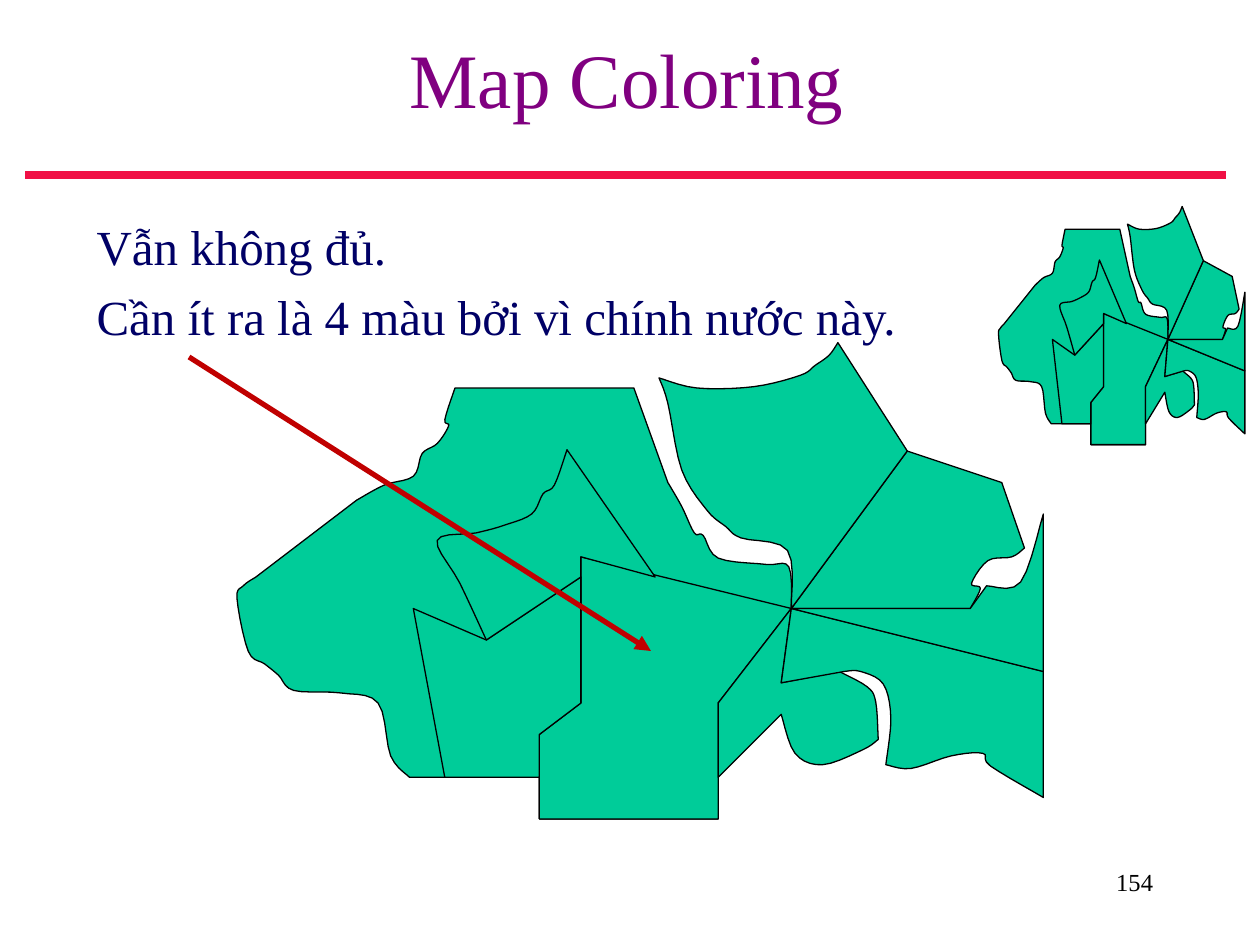
from dataclasses import dataclass

from lxml import etree
from pptx import Presentation
from pptx.dml.color import RGBColor
from pptx.enum.shapes import MSO_CONNECTOR
from pptx.enum.text import MSO_ANCHOR, PP_ALIGN
from pptx.oxml.ns import qn
from pptx.util import Pt


@dataclass(frozen=True)
class Theme:
    font: str = "Times New Roman"
    title: RGBColor = RGBColor(0x80, 0x00, 0x80)
    body: RGBColor = RGBColor(0x00, 0x00, 0x66)
    ink: RGBColor = RGBColor(0x00, 0x00, 0x00)
    land: RGBColor = RGBColor(0x00, 0xCC, 0x99)
    rule: RGBColor = RGBColor(0xF0, 0x10, 0x45)
    arrow: RGBColor = RGBColor(0xC0, 0x00, 0x00)
    title_size: float = 44
    body_size: float = 28
    number_size: float = 14


# Border corners that several countries share, in map units
HUB, PASS, BAY, EAST, CAPE = (628, 483), (720, 358), (770, 483), (828, 533), (620, 542)
FORK, NECK, NOTCH, BEND = (386, 508), (461, 442), (461, 458), (461, 558)
STEP, PORT, QUAY = (428, 583), (428, 617), (428, 650)
RIVER, COVE, SOUTH = (570, 558), (570, 617), (570, 650)

# A tuple is a corner, a list is a coast drawn smoothly through its points
COUNTRIES = {
    "west": [
        (503, 308), (361, 308),
        [(353, 333), (356, 338), (347, 352), (335, 360), (328, 378),
         (305, 385), (283, 397)], (203, 458),
        [(193, 465), (188, 475), (197, 517), (210, 527), (221, 536),
         (233, 548), (270, 550), (300, 558), (310, 600), (325, 617)],
        PORT, QUAY, SOUTH, RIVER, HUB,
        [(626, 450), (608, 448), (570, 443), (558, 425), (551, 423),
         (541, 402), (530, 383)]],
    "centre": [QUAY, STEP, BEND, NECK, HUB, RIVER, SOUTH],
    "inland south": [(353, 617), (328, 483), FORK, NOTCH, BEND, STEP, PORT],
    "inland north": [
        FORK, [(365, 463), (347, 429), (378, 423), (400, 417), (422, 408),
               (431, 392), (440, 385), (450, 357)],
        (520, 458), NECK, NOTCH],
    "south": [
        COVE, (620, 567), [(631, 598), (653, 607), (685, 595), (697, 587)],
        [(695, 557), (688, 545), (666, 533)], CAPE, HUB, RIVER],
    "south-east": [
        HUB, EAST, (828, 633),
        [(786, 608), (780, 598), (755, 600), (723, 610), (703, 607)],
        [(707, 570), (701, 543), (683, 533), (670, 533)], CAPE],
    "north-east": [
        HUB, BAY, [(778, 467), (771, 463), (784, 445), (803, 442), (813, 435)],
        (795, 383), PASS],
    "east": [BAY, HUB, EAST, (828, 408), [(810, 462), (783, 465)]],
    "north": [
        HUB, [(625, 437), (588, 427), (576, 418), (561, 405), (541, 373),
              (530, 320), (523, 300)],
        [(553, 308), (598, 307), (635, 298), (647, 290), (658, 282),
         (665, 272)], PASS],
}
MAP_LEFT, MAP_TOP = 183, 272
CURVE_STEPS = 5


def smooth(points):
    """Points of a Catmull-Rom curve, without the first one."""
    knots = [points[0], *points, points[-1]]
    curve = []
    for a, b, c, d in zip(knots, knots[1:], knots[2:], knots[3:]):
        for step in range(1, CURVE_STEPS + 1):
            t = step / CURVE_STEPS
            curve.append(tuple(
                q + t * ((r - p) + t * ((2 * p - 5 * q + 4 * r - s)
                                        + t * (3 * q - p - 3 * r + s))) / 2
                for p, q, r, s in zip(a, b, c, d)))
    return curve


def trace(outline):
    points = []
    for part in outline:
        points += smooth([points[-1], *part]) if isinstance(part, list) else [part]
    return points


class SlideBuilder:
    def __init__(self, slide, theme):
        self.slide = slide
        self.theme = theme

    def place(self, sp, left, top, width, height):
        sp.left, sp.top = Pt(left), Pt(top)
        sp.width, sp.height = Pt(width), Pt(height)

    def style(self, p, size, color, align):
        p.alignment = align
        for r in p.runs:
            r.font.name = self.theme.font
            r.font.size = Pt(size)
            r.font.color.rgb = color

    def title(self, text, *box):
        sp = self.slide.shapes.title
        self.place(sp, *box)
        tf = sp.text_frame
        tf.text = text
        tf.vertical_anchor = MSO_ANCHOR.MIDDLE
        self.style(tf.paragraphs[0], self.theme.title_size, self.theme.title,
                   PP_ALIGN.CENTER)

    def body(self, lines, *box):
        sp = self.slide.placeholders[1]
        self.place(sp, *box)
        tf = sp.text_frame
        for i, line in enumerate(lines):
            p = tf.add_paragraph() if i else tf.paragraphs[0]
            p.text = line
            pPr = p._p.get_or_add_pPr()
            pPr.set("marL", str(Pt(27)))
            pPr.set("indent", str(-Pt(27)))
            etree.SubElement(pPr, qn("a:buNone"))
            p.space_before = Pt(6.5 if i else 0)
            self.style(p, self.theme.body_size, self.theme.body, PP_ALIGN.LEFT)

    def page_number(self, text, *box):
        tf = self.slide.shapes.add_textbox(*map(Pt, box)).text_frame
        tf.word_wrap = True
        tf.text = text
        self.style(tf.paragraphs[0], self.theme.number_size, self.theme.ink,
                   PP_ALIGN.RIGHT)

    def line(self, x1, y1, x2, y2, color, width, arrow=False):
        sp = self.slide.shapes.add_connector(
            MSO_CONNECTOR.STRAIGHT, Pt(x1), Pt(y1), Pt(x2), Pt(y2))
        sp.line.color.rgb = color
        sp.line.width = Pt(width)
        if arrow:
            etree.SubElement(sp.line._get_or_add_ln(), qn("a:tailEnd"),
                             type="triangle")
        etree.SubElement(sp._element.spPr, qn("a:effectLst"))

    def country_map(self, shapes, left, top, x_scale, y_scale):
        for outline in COUNTRIES.values():
            points = [(Pt(left + (x - MAP_LEFT) * x_scale),
                       Pt(top + (y - MAP_TOP) * y_scale))
                      for x, y in trace(outline)]
            builder = shapes.build_freeform(*points[0])
            builder.add_line_segments(points[1:], close=True)
            sp = builder.convert_to_shape()
            sp.shadow.inherit = False
            sp.fill.solid()
            sp.fill.fore_color.rgb = self.theme.land
            sp.line.color.rgb = self.theme.ink
            sp.line.width = Pt(0.75)


def main():
    prs = Presentation()
    prs.slide_width, prs.slide_height = Pt(720), Pt(540)
    s = prs.slides.add_slide(prs.slide_layouts[1])
    theme = Theme()
    page = SlideBuilder(s, theme)

    # Heading, rule and page number
    page.line(14.4, 100.2, 700.6, 100.2, theme.rule, 4.5)
    page.page_number("154", 516, 492, 150, 36)
    page.title("Map Coloring", 14.4, 0, 687.6, 88.5)

    # Statement
    page.body(["Vẫn không đủ.", "Cần ít ra là 4 màu bởi vì chính nước này."],
              48, 120, 612, 324)

    # Main map with the arrow to the central country
    page.country_map(s.shapes, 131.8, 195.8, 0.72, 0.72)
    page.line(108, 204, 372, 372, theme.arrow, 3, arrow=True)

    # Small map in the corner
    page.country_map(s.shapes.add_group_shape().shapes, 569.5, 118, 0.22, 0.36)

    prs.save("out.pptx")


if __name__ == "__main__":
    main()
